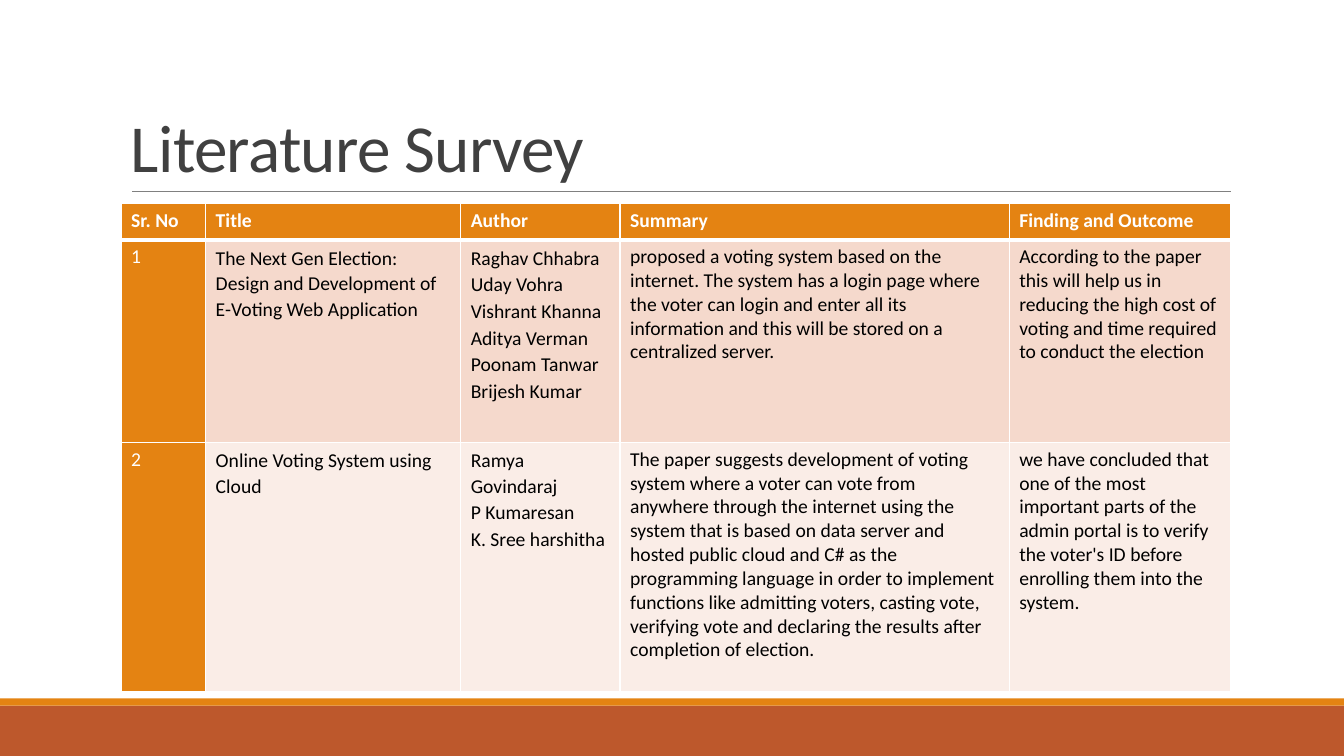
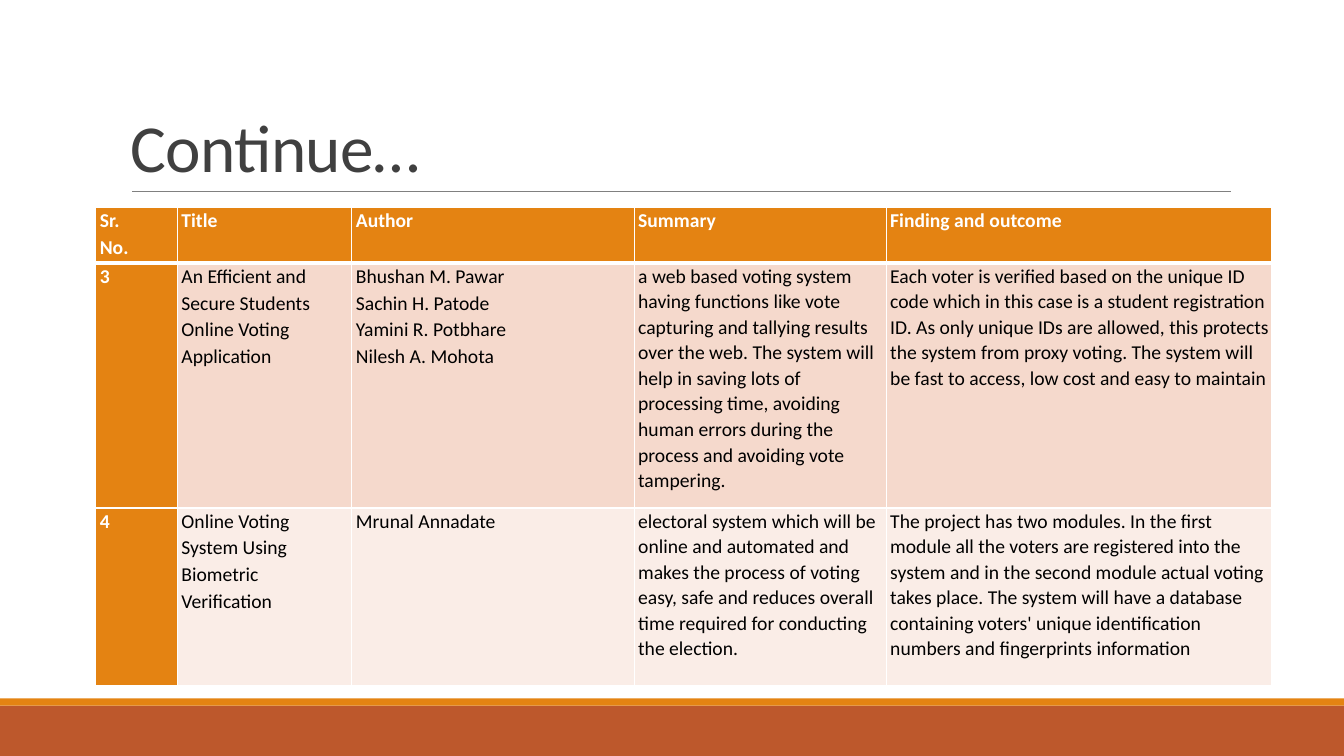
from lxml.etree import SubElement
from pptx import Presentation
from pptx.dml.color import RGBColor
from pptx.enum.shapes import MSO_CONNECTOR, MSO_SHAPE
from pptx.enum.text import MSO_ANCHOR
from pptx.oxml.ns import qn
from pptx.util import Inches, Pt

WHITE = RGBColor(0xFF, 0xFF, 0xFF)
BLACK = RGBColor(0x00, 0x00, 0x00)
TITLE_GRAY = RGBColor(0x40, 0x40, 0x40)
RULE_GRAY = RGBColor(0x80, 0x80, 0x80)
ORANGE = RGBColor(0xE4, 0x83, 0x12)
RUST = RGBColor(0xBD, 0x58, 0x2C)
ROW_FILLS = [RGBColor(0xF5, 0xD9, 0xCC), RGBColor(0xFA, 0xED, 0xE7)]
FONT = "Calibri"


def write(text_frame, text, size=14, color=BLACK, bold=False, line_spacing=1.0,
          gap=0, space_after=0, character_spacing=None):
    """Write one paragraph per line of text, with gap points between them."""
    lines = text.split("\n")
    for index, line in enumerate(lines):
        paragraph = text_frame.paragraphs[0] if index == 0 else text_frame.add_paragraph()
        paragraph.line_spacing = line_spacing
        paragraph.space_after = Pt(space_after if index == len(lines) - 1 else gap)
        run = paragraph.add_run()
        run.text = line
        run.font.name = FONT
        run.font.size = Pt(size)
        run.font.bold = bold
        run.font.color.rgb = color
        if character_spacing is not None:
            run.font._element.set("spc", str(int(character_spacing * 100)))


def set_borders(cell, bottom_width):
    properties = cell._tc.get_or_add_tcPr()
    for side, width in (("L", 1), ("R", 1), ("T", 1), ("B", bottom_width)):
        border = SubElement(properties, qn(f"a:ln{side}"), w=str(Pt(width)))
        fill = SubElement(border, qn("a:solidFill"))
        SubElement(fill, qn("a:srgbClr"), val=str(WHITE))


class SurveyDeck:
    def __init__(self):
        self.presentation = Presentation()
        self.presentation.slide_width = Inches(13.33)
        self.presentation.slide_height = Inches(7.5)
        self.slide = None

    def add_slide(self, title):
        self.slide = self.presentation.slides.add_slide(self.presentation.slide_layouts[6])
        self.add_band(7, 0.5, RUST)
        self.add_band(6.93, 0.07, ORANGE)
        self.add_rule()
        self.add_title(title)

    def add_band(self, top, height, color):
        band = self.slide.shapes.add_shape(
            MSO_SHAPE.RECTANGLE, 0, Inches(top), self.presentation.slide_width, Inches(height))
        band.shadow.inherit = False
        band.fill.solid()
        band.fill.fore_color.rgb = color
        band.line.fill.background()

    def add_rule(self):
        rule = self.slide.shapes.add_connector(
            MSO_CONNECTOR.STRAIGHT, Inches(1.31), Inches(1.9), Inches(12.21), Inches(1.9))
        rule.line.color.rgb = RULE_GRAY
        rule.line.width = Pt(0.5)
        SubElement(rule._element.spPr, qn("a:effectLst"))

    def add_title(self, text):
        box = self.slide.shapes.add_textbox(Inches(1.2), Inches(0.31), Inches(11), Inches(1.59))
        box.text_frame.word_wrap = True
        box.text_frame.vertical_anchor = MSO_ANCHOR.BOTTOM
        write(box.text_frame, text, size=48, color=TITLE_GRAY, line_spacing=0.85,
              character_spacing=-0.5)

    def add_table(self, left, top, widths, heights, rows, header_spacing, column_spacings,
                  margins=None, bold_numbers=False):
        table = self.slide.shapes.add_table(
            len(rows), len(widths), Inches(left), Inches(top),
            Inches(sum(widths)), Inches(sum(heights))).table
        for column, width in zip(table.columns, widths):
            column.width = Inches(width)
        for row, height in zip(table.rows, heights):
            row.height = Inches(height)
        for row_index, texts in enumerate(rows):
            is_header = row_index == 0
            for column_index, text in enumerate(texts):
                cell = table.cell(row_index, column_index)
                is_accent = is_header or column_index == 0
                spacing = header_spacing if is_header else column_spacings[column_index]
                if margins:
                    (cell.margin_left, cell.margin_top,
                     cell.margin_right, cell.margin_bottom) = map(Inches, margins)
                set_borders(cell, 3 if is_header else 1)
                cell.fill.solid()
                cell.fill.fore_color.rgb = ORANGE if is_accent else ROW_FILLS[(row_index - 1) % 2]
                write(cell.text_frame, text, color=WHITE if is_accent else BLACK,
                      bold=is_header or (is_accent and bold_numbers),
                      line_spacing=spacing, gap=0.8, space_after=8 if spacing > 1 else 0)


def main():
    deck = SurveyDeck()

    # Papers 1 and 2
    deck.add_slide("Literature Survey")
    deck.add_table(
        1.2, 2.02, [0.84, 2.53, 1.58, 3.86, 2.2], [0.36, 2.01, 2.47],
        [
            ["Sr. No", "Title", "Author", "Summary", "Finding and Outcome"],
            ["1",
             "The Next Gen Election: Design and Development of E-Voting Web Application",
             "Raghav Chhabra\nUday Vohra\nVishrant Khanna\nAditya Verman\n"
             "Poonam Tanwar\nBrijesh Kumar",
             "proposed a voting system based on the internet. The system has a login page "
             "where the voter can login and enter all its information and this will be "
             "stored on a centralized server.",
             "According to the paper this will help us in reducing the high cost of voting "
             "and time required to conduct the election"],
            ["2",
             "Online Voting System using Cloud",
             "Ramya Govindaraj\nP Kumaresan\nK. Sree harshitha",
             "The paper suggests development of voting system where a voter can vote from "
             "anywhere through the internet using the system that is based on data server "
             "and hosted public cloud and C# as the programming language in order to "
             "implement functions like admitting voters, casting vote, verifying vote and "
             "declaring the results after completion of election.",
             "we have concluded that one of the most important parts of the admin portal "
             "is to verify the voter's ID before enrolling them into the system."],
        ],
        header_spacing=1.0, column_spacings=[1.0, 1.07, 1.07, 1.0, 1.0])

    # Papers 3 and 4
    deck.add_slide("Continue…")
    deck.add_table(
        0.95, 2.06, [0.81, 1.73, 2.8, 2.5, 3.82], [0.55, 2.43, 1.76],
        [
            ["Sr.\nNo.", "Title", "Author", "Summary", "Finding and outcome"],
            ["3",
             "An Efficient and\nSecure Students\nOnline Voting\nApplication",
             "Bhushan M. Pawar\nSachin H. Patode\nYamini R. Potbhare\nNilesh A. Mohota",
             "a web based voting system having functions like vote capturing and tallying "
             "results over the web. The system will help in saving lots of processing time, "
             "avoiding human errors during the process and avoiding vote tampering.",
             "Each voter is verified based on the unique ID code which in this case is a "
             "student registration ID. As only unique IDs are allowed, this protects the "
             "system from proxy voting. The system will be fast to access, low cost and "
             "easy to maintain"],
            ["4",
             "Online Voting\nSystem Using\nBiometric\nVerification",
             "Mrunal Annadate",
             "electoral system which will be online and automated and makes the process of "
             "voting easy, safe and reduces overall time required for conducting the election.",
             "The project has two modules. In the first module all the voters are registered "
             "into the system and in the second module actual voting takes place. The system "
             "will have a database containing voters' unique identification numbers and "
             "fingerprints information"],
        ],
        header_spacing=1.07, column_spacings=[1.07] * 5,
        margins=(0.04, 0, 0.02, 0), bold_numbers=True)

    deck.presentation.save("out.pptx")


if __name__ == "__main__":
    main()
